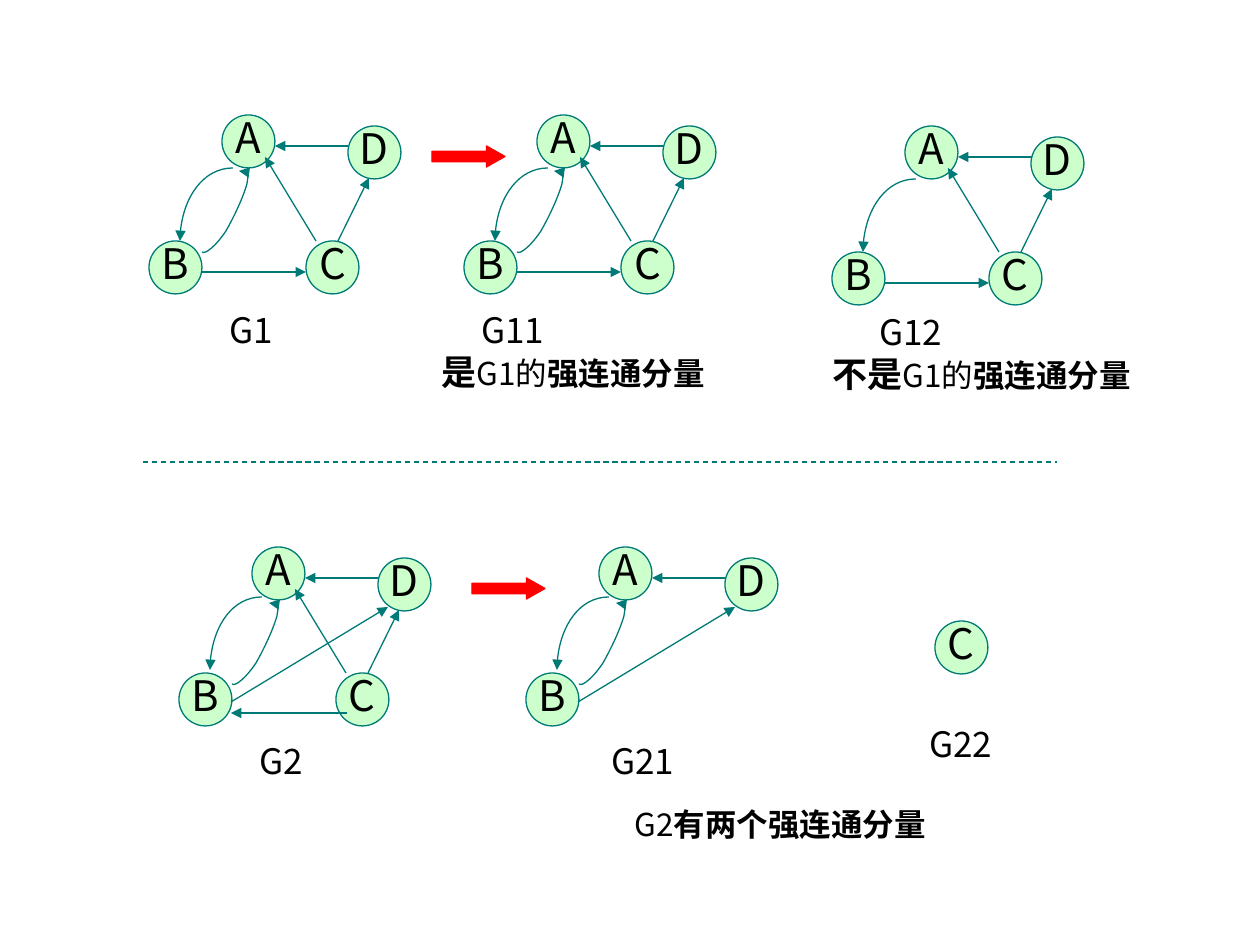
from pptx import Presentation
from pptx.dml.color import RGBColor
from pptx.enum.dml import MSO_LINE
from pptx.enum.shapes import MSO_CONNECTOR, MSO_SHAPE
from pptx.enum.text import MSO_ANCHOR, MSO_AUTO_SIZE, PP_ALIGN
from pptx.oxml.ns import qn
from pptx.util import Pt
from lxml.etree import SubElement

SCALE = 914400 / 126
FONT = "Noto Sans CJK SC"
COLORS = {"node": "CCFFCC", "edge": "007A77", "arrow": "FF0000", "text": "000000"}

# Everything inside a graph is measured from the corner of its node A.
SIZE = 53
NODES = {"A": (0, 0), "B": (-73, 126), "C": (84, 126), "D": (126, 11)}
EDGES = {
    "BC": ((-20, 157), (84, 157)),
    "CB": ((95, 166), (-21, 166)),
    "CD": ((116, 126), (147, 63)),
    "DA": ((126, 31), (53, 31)),
    "CA": ((94, 126), (43, 42)),
    "BD": ((-21, 155), (136, 60)),
}
BENDS = {
    "AB": ((11, 53), (-18, 53), (-42, 86), (-42, 126)),
    "AB up": ((10, 50), (-19, 50), (-42, 83), (-42, 123)),
    "BA": ((-20, 137), (-17, 140), (-6, 131), (4, 116), (12, 102),
           (21, 83), (25, 69), (27, 56), (25, 51), (17, 56)),
}
# corner of A, nodes, straight edges, bent edges
GRAPHS = [
    ((222, 115), "ABCD", ["BC", "CD", "DA", "CA"], ["AB", "BA"]),
    ((537, 115), "ABCD", ["BC", "CD", "DA", "CA"], ["AB", "BA"]),
    ((905, 126), "ABCD", ["BC", "CD", "DA", "CA"], ["AB"]),
    ((252, 547), "ABCD", ["CB", "CD", "DA", "CA", "BD"], ["AB up", "BA"]),
    ((599, 547), "ABD", ["DA", "BD"], ["AB up", "BA"]),
    ((851, 495), "C", [], []),
]
# box, wrap, paragraphs of (indent, runs of (text, size, bold))
LABELS = [
    ((217, 302, 70, 55), False, [(0, [("G1", 20, False)])]),
    ((422, 302, 316, 97), True, [
        (47, [("G11", 20, False)]),
        (7, [("是", 20, True), ("G1的", 18, False), ("强连通分量", 18, True)])]),
    ((820, 304, 325, 135), True, [
        (47, [("G12", 20, False)]),
        (0, [("不是", 20, True), ("G1的", 18, False), ("强连通分量", 18, True)])]),
    ((247, 733, 70, 55), False, [(0, [("G2", 20, False)])]),
    ((599, 733, 91, 55), False, [(0, [("G21", 20, False)])]),
    ((917, 716, 91, 55), False, [(0, [("G22", 20, False)])]),
    ((622, 799, 325, 50), False,
     [(0, [("G2", 18, False), ("有两个强连通分量", 18, True)])]),
]
ARROWS = [(432, 146, 73, 21), (472, 578, 73, 21)]
RULE = ((143, 462), (1057, 462))


def px(*nums):
    return [round(n * SCALE) for n in nums]


def shift(points, base):
    return [(x + base[0], y + base[1]) for x, y in points]


def write(frame, paras, wrap=False, align=PP_ALIGN.LEFT, space=1.0):
    frame.word_wrap = wrap
    for i, (indent, runs) in enumerate(paras):
        para = frame.add_paragraph() if i else frame.paragraphs[0]
        para.alignment = align
        para.line_spacing = space
        if indent:
            para._p.get_or_add_pPr().set("marL", str(px(indent)[0]))
        for text, size, bold in runs:
            run = para.add_run()
            run.text = text
            font = run.font
            font.name, font.size, font.bold = FONT, Pt(size), bold
            font.color.rgb = RGBColor.from_string(COLORS["text"])
            SubElement(run._r.get_or_add_rPr(), qn("a:ea"), typeface=FONT)


def stroke(shape, color="edge", head=False):
    """Set the outline, with an arrowhead at its end if asked."""
    line = shape.line
    line.color.rgb = RGBColor.from_string(COLORS[color])
    line.width = Pt(0.75)
    if head:
        SubElement(line._get_or_add_ln(), qn("a:tailEnd"), type="triangle")


def solid(shapes, kind, box, fill, edge):
    shape = shapes.add_shape(kind, *px(*box))
    shape.shadow.inherit = False
    shape.fill.solid()
    shape.fill.fore_color.rgb = RGBColor.from_string(COLORS[fill])
    stroke(shape, edge)
    return shape


def link(shapes, start, end, head=True):
    line = shapes.add_connector(MSO_CONNECTOR.STRAIGHT, *px(*start, *end))
    stroke(line, head=head)
    SubElement(line._element.spPr, qn("a:effectLst"))
    return line


def bend(shapes, points):
    """Draw Bezier pieces: a start, then three points for each piece."""
    build = shapes.build_freeform(*points[0], scale=SCALE)
    build.add_line_segments(points[1:], close=False)
    shape = build.convert_to_shape()
    shape.shadow.inherit = False
    shape.fill.background()
    stroke(shape, head=True)
    track = next(shape._element.iter(qn("a:path")))
    steps = track.findall(qn("a:lnTo"))
    for i in range(0, len(steps), 3):
        curve = SubElement(track, qn("a:cubicBezTo"))
        for step in steps[i:i + 3]:
            curve.append(step[0])
            track.remove(step)


def graph(shapes, base, names, edges, bends):
    for name in names:
        (spot,) = shift([NODES[name]], base)
        node = solid(shapes, MSO_SHAPE.OVAL, (*spot, SIZE, SIZE), "node", "edge")
        node.text_frame.vertical_anchor = MSO_ANCHOR.MIDDLE
        write(node.text_frame, [(0, [(name, 24, False)])],
              align=PP_ALIGN.CENTER, space=0.8)
    for edge in edges:
        link(shapes, *shift(EDGES[edge], base))
    for name in bends:
        bend(shapes, shift(BENDS[name], base))


def main():
    deck = Presentation()
    deck.slide_width, deck.slide_height = px(1260, 945)
    shapes = deck.slides.add_slide(deck.slide_layouts[6]).shapes
    for item in GRAPHS:
        graph(shapes, *item)
    for box, wrap, paras in LABELS:
        frame = shapes.add_textbox(*px(*box)).text_frame
        write(frame, paras, wrap=wrap)
        frame.auto_size = MSO_AUTO_SIZE.SHAPE_TO_FIT_TEXT
    link(shapes, *RULE, head=False).line.dash_style = MSO_LINE.DASH
    for box in ARROWS:
        arrow = solid(shapes, MSO_SHAPE.RIGHT_ARROW, box, "arrow", "arrow")
        arrow.adjustments[0], arrow.adjustments[1] = 0.5, 0.88
    deck.save("out.pptx")


if __name__ == "__main__":
    main()
